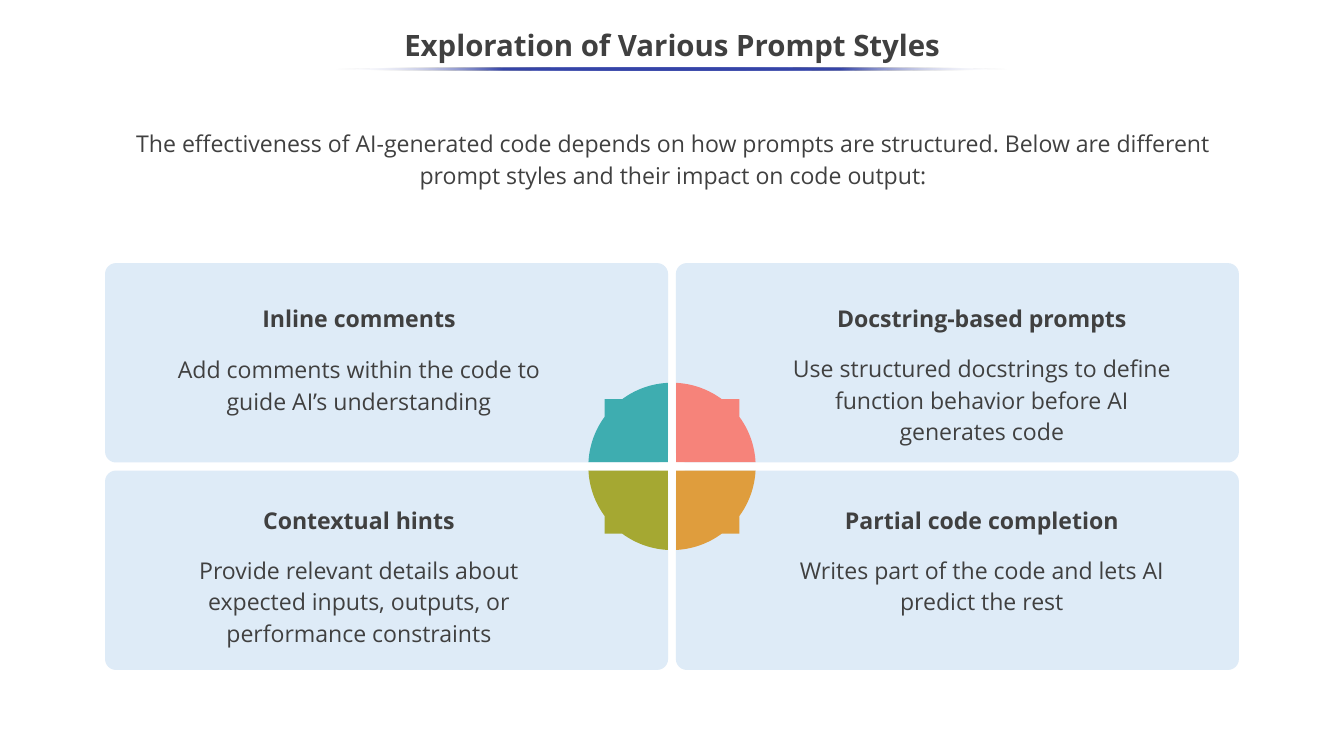
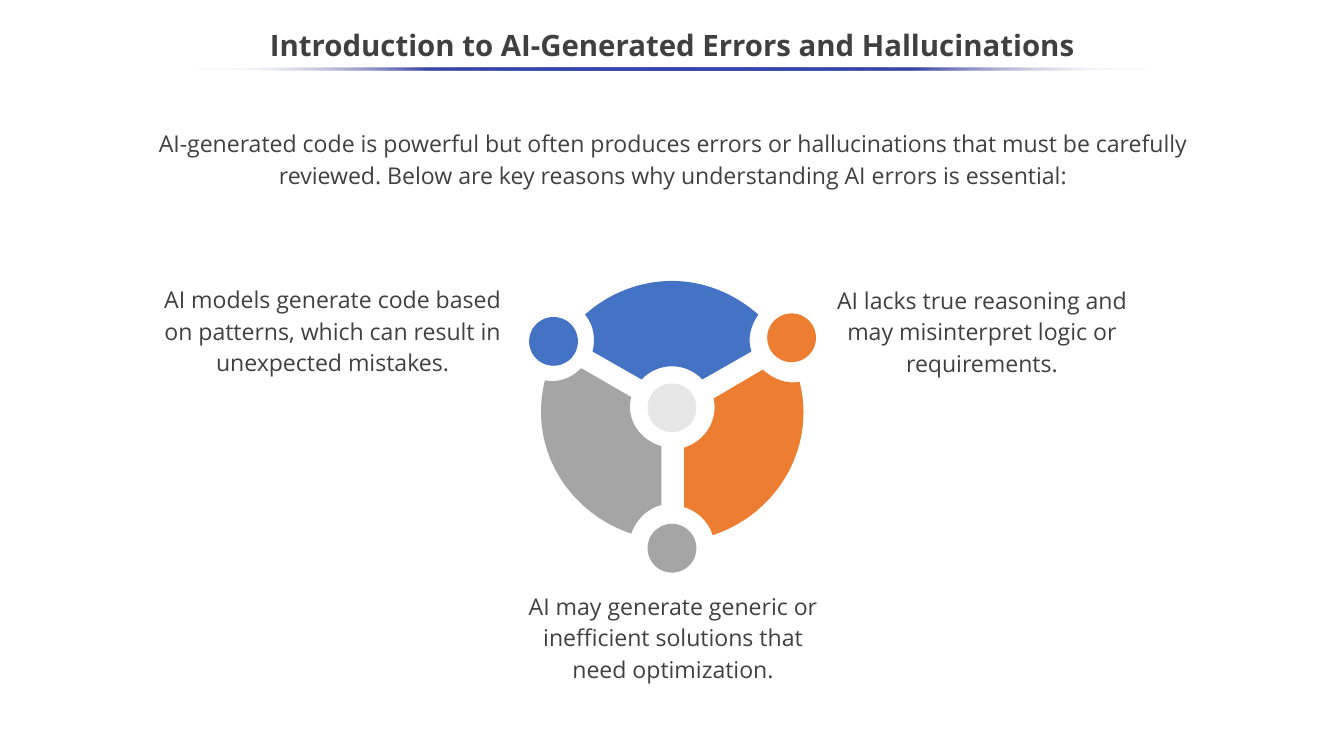
from dataclasses import dataclass
from math import atan2, pi, remainder, sqrt, tan

from lxml.etree import SubElement
from pptx import Presentation
from pptx.dml.color import RGBColor
from pptx.enum.shapes import MSO_SHAPE
from pptx.enum.text import MSO_ANCHOR, PP_ALIGN
from pptx.oxml.ns import qn
from pptx.util import Cm, Pt


@dataclass(frozen=True)
class Theme:
    font: str = "Open Sans"
    title_size: int = 28
    body_size: int = 22
    text: str = "404040"
    rule: str = "3645A9"
    white: str = "FFFFFF"
    card: str = "DEEBF7"
    teal: str = "3EADB0"
    coral: str = "F6837A"
    olive: str = "A5A832"
    amber: str = "DF9D3D"
    blue: str = "4472C4"
    orange: str = "ED7D31"
    grey: str = "A5A5A5"
    hub: str = "E7E6E6"


THEME = Theme()
SLIDE_WIDTH, SLIDE_HEIGHT = 45.16, 25.4


# Elements
def paint(shape, color):
    shape.shadow.inherit = False
    shape.line.fill.background()
    shape.fill.solid()
    shape.fill.fore_color.rgb = RGBColor.from_string(color)


def add_block(slide, kind, left, top, width, height, color):
    shape = slide.shapes.add_shape(kind, Cm(left), Cm(top), Cm(width), Cm(height))
    paint(shape, color)
    return shape


def add_dot(slide, center, diameter, color):
    x, y = center
    add_block(slide, MSO_SHAPE.OVAL, x - diameter / 2, y - diameter / 2,
              diameter, diameter, color)


def add_text(slide, text, left, top, width, height, inset=(0, 0), bold=False,
             size=THEME.body_size, spacing=1.14, anchor=MSO_ANCHOR.TOP):
    box = slide.shapes.add_textbox(Cm(left), Cm(top), Cm(width), Cm(height))
    frame = box.text_frame
    frame.word_wrap = True
    frame.vertical_anchor = anchor
    frame.margin_left = frame.margin_right = Cm(inset[0])
    frame.margin_top = frame.margin_bottom = Cm(inset[1])
    paragraph = frame.paragraphs[0]
    paragraph.text = text
    paragraph.alignment = PP_ALIGN.CENTER
    paragraph.line_spacing = spacing
    paragraph.font.name = THEME.font
    paragraph.font.size = Pt(size)
    paragraph.font.bold = bold
    paragraph.font.color.rgb = RGBColor.from_string(THEME.text)


def arc_controls(center, start, end):
    """Bezier controls and end of the shorter arc about center."""
    (x, y), (start_x, start_y), (end_x, end_y) = center, start, end
    sweep = remainder(atan2(end_y - y, end_x - x)
                      - atan2(start_y - y, start_x - x), 2 * pi)
    reach = 4 / 3 * tan(sweep / 4)
    return [(start_x - reach * (start_y - y), start_y + reach * (start_x - x)),
            (end_x + reach * (end_y - y), end_y - reach * (end_x - x)), end]


def add_outline(slide, corners, centers, color):
    """Join corners in turn; a center bends the side leading to the next corner."""
    builder = slide.shapes.build_freeform(*map(Cm, corners[0]), scale=1.0)
    builder.add_line_segments([(Cm(x), Cm(y)) for x, y in corners[1:]], close=True)
    shape = builder.convert_to_shape()
    sides = list(shape._element.iter(qn("a:lnTo")))
    for side, center, start, end in zip(sides, centers, corners, corners[1:]):
        if center:
            curve = side.makeelement(qn("a:cubicBezTo"))
            for x, y in arc_controls(center, start, end):
                SubElement(curve, qn("a:pt"), x=str(Cm(x) - shape.left),
                           y=str(Cm(y) - shape.top))
            side.getparent().replace(side, curve)
    paint(shape, color)


def add_title_rule(slide, width):
    rule = add_block(slide, MSO_SHAPE.OVAL, (SLIDE_WIDTH - width) / 2, 2.26,
                     width, 0.1, THEME.rule)
    rule.fill.gradient()
    rule.fill.gradient_angle = 0
    stops = rule._element.spPr.find(qn("a:gradFill")).find(qn("a:gsLst"))
    for stop in list(stops):
        stops.remove(stop)
    for percent in (0, 25, 50, 75, 100):
        faded = percent in (0, 100)
        stop = SubElement(stops, qn("a:gs"), pos=str(percent * 1000))
        color = SubElement(stop, qn("a:srgbClr"),
                           val=THEME.white if faded else THEME.rule)
        if faded:
            SubElement(color, qn("a:alpha"), val="0")


def add_content_slide(presentation, title, intro, rule_width):
    slide = presentation.slides.add_slide(presentation.slide_layouts[6])
    add_text(slide, intro, 3.59, 4.22, 38.05, 2.51, inset=(0.25, 0), spacing=1.15)
    add_text(slide, title, 0, 0.64, SLIDE_WIDTH, 1.9, inset=(0.25, 0.13), bold=True,
             size=THEME.title_size, spacing=0.9, anchor=MSO_ANCHOR.MIDDLE)
    add_title_rule(slide, rule_width)
    return slide


# Prompt styles: four cards around a wheel
def add_wedge(slide, side, level, color):
    """Quarter of the wheel with a square tab; side and level are -1 or 1."""
    center = center_x, center_y = 22.58, 15.67
    radius, gap, tab = 2.81, 0.14, 2.26
    notch = sqrt(radius ** 2 - tab ** 2)
    edge = sqrt(radius ** 2 - gap ** 2)
    offsets = [(gap, gap), (gap, edge), (notch, tab), (tab, tab),
               (tab, notch), (edge, gap)]
    corners = [(center_x + side * x, center_y + level * y) for x, y in offsets]
    add_outline(slide, corners, [None, center, None, None, center], color)


def build_prompt_styles(presentation):
    slide = add_content_slide(
        presentation, "Exploration of Various Prompt Styles",
        "The effectiveness of AI-generated code depends on how prompts are structured. "
        "Below are different prompt styles and their impact on code output:", 22.58)
    styles = [
        (0, 0, THEME.teal, 11.82, 2.13, "Inline comments",
         "Add comments within the code to guide AI’s understanding"),
        (1, 0, THEME.coral, 11.78, 3.23, "Docstring-based prompts",
         "Use structured docstrings to define function behavior before AI generates code"),
        (0, 1, THEME.olive, 18.56, 3.23, "Contextual hints",
         "Provide relevant details about expected inputs, outputs, or "
         "performance constraints"),
        (1, 1, THEME.amber, 18.56, 2.13, "Partial code completion",
         "Writes part of the code and lets AI predict the rest"),
    ]
    for column, row, *_ in styles:
        card = add_block(slide, MSO_SHAPE.ROUNDED_RECTANGLE, 3.53 + column * 19.18,
                         8.84 + row * 6.97, 18.92, 6.7, THEME.card)
        card.adjustments[0] = 0.055
    for column, row, color, body_top, body_height, heading, body in styles:
        add_wedge(slide, 2 * column - 1, 2 * row - 1, color)
        left = 5.51 + column * 20.93
        add_text(slide, heading, left, 10.08 + row * 6.78, 13.1, 1.07,
                 bold=True, anchor=MSO_ANCHOR.BOTTOM)
        add_text(slide, body, left, body_top, 13.1, body_height)


# AI errors: three petals between knobs, around a hub
def add_petal(slide, corners, rim, hub, first_knob, last_knob, color):
    """Corners: three on the rim, then knob, hub, hub, knob; straight spokes."""
    centers = [rim, rim, last_knob, None, hub, None, first_knob]
    add_outline(slide, corners + corners[:1], centers, color)


def build_errors(presentation):
    slide = add_content_slide(
        presentation, "Introduction to AI-Generated Errors and Hallucinations",
        "AI-generated code is powerful but often produces errors or hallucinations "
        "that must be carefully reviewed. Below are key reasons why understanding "
        "AI errors is essential:", 32.46)
    rim, hub = (22.59, 13.84), (22.58, 13.7)
    blue_knob, orange_knob, grey_knob = (18.6, 11.47), (26.6, 11.35), (22.58, 18.42)
    petals = [
        (THEME.blue, blue_knob, orange_knob,
         [(19.66, 10.57), (22.58, 9.44), (25.48, 10.57), (25.25, 11.81),
          (23.6, 12.75), (21.56, 12.75), (19.91, 11.81)]),
        (THEME.orange, orange_knob, grey_knob,
         [(26.87, 12.83), (27, 13.84), (23.95, 17.98), (22.99, 17.04),
          (22.99, 15.04), (23.98, 13.39), (25.63, 12.42)]),
        (THEME.grey, grey_knob, blue_knob,
         [(21.21, 17.93), (18.18, 13.8), (18.31, 12.78), (19.53, 12.37),
          (21.21, 13.34), (22.22, 14.99), (22.22, 16.97)]),
    ]
    for color, first_knob, last_knob, corners in petals:
        add_petal(slide, corners, rim, hub, first_knob, last_knob, color)
        add_dot(slide, first_knob, 1.64, color)
    add_dot(slide, hub, 1.64, THEME.hub)

    reasons = [
        (4.7, 9.32, 12.95, MSO_ANCHOR.MIDDLE,
         "AI models generate code based on patterns, which can result in "
         "unexpected mistakes."),
        (27.23, 9.34, 11.53, MSO_ANCHOR.MIDDLE,
         "AI lacks true reasoning and may misinterpret logic or requirements."),
        (17.42, 19.63, 10.39, MSO_ANCHOR.TOP,
         "AI may generate generic or inefficient solutions that need optimization."),
    ]
    for left, top, width, anchor, text in reasons:
        add_text(slide, text, left, top, width, 3.48, inset=(0.25, 0.13), anchor=anchor)


def main():
    presentation = Presentation()
    presentation.slide_width = Cm(SLIDE_WIDTH)
    presentation.slide_height = Cm(SLIDE_HEIGHT)
    build_prompt_styles(presentation)
    build_errors(presentation)
    presentation.save("out.pptx")


if __name__ == "__main__":
    main()
